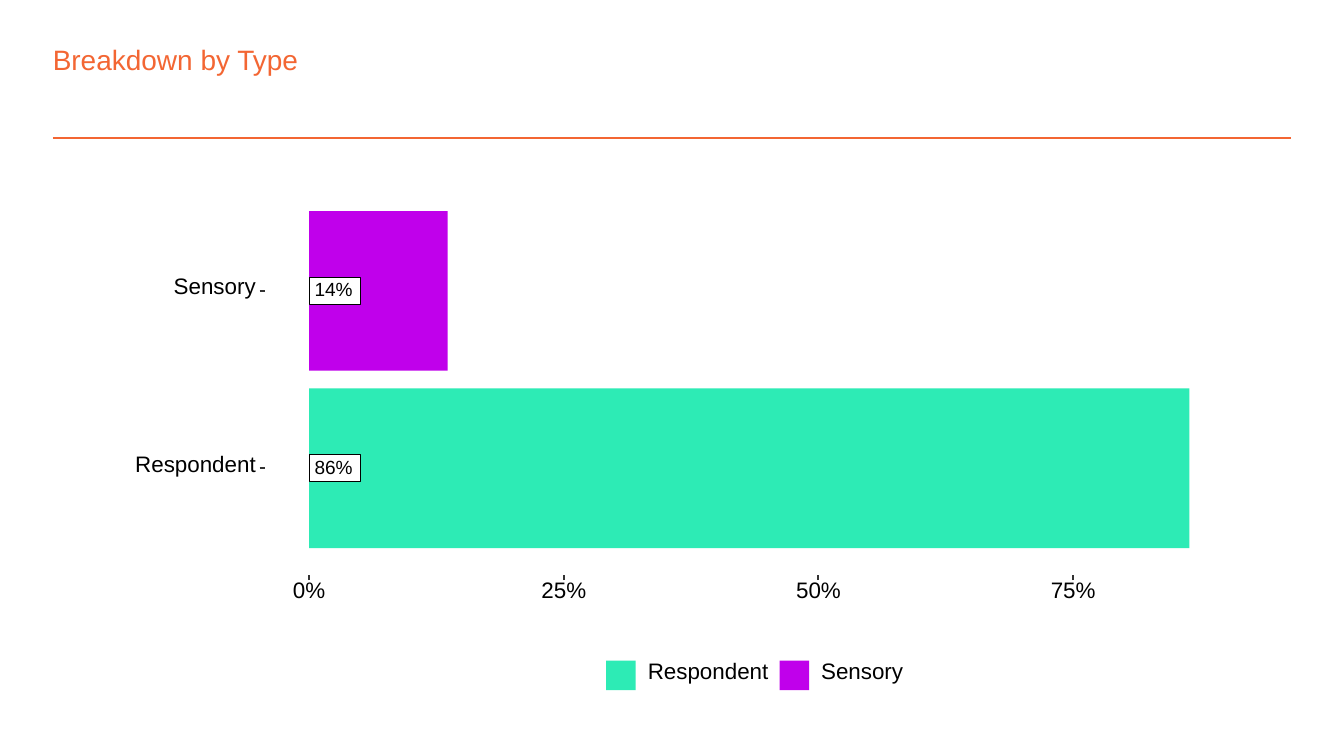
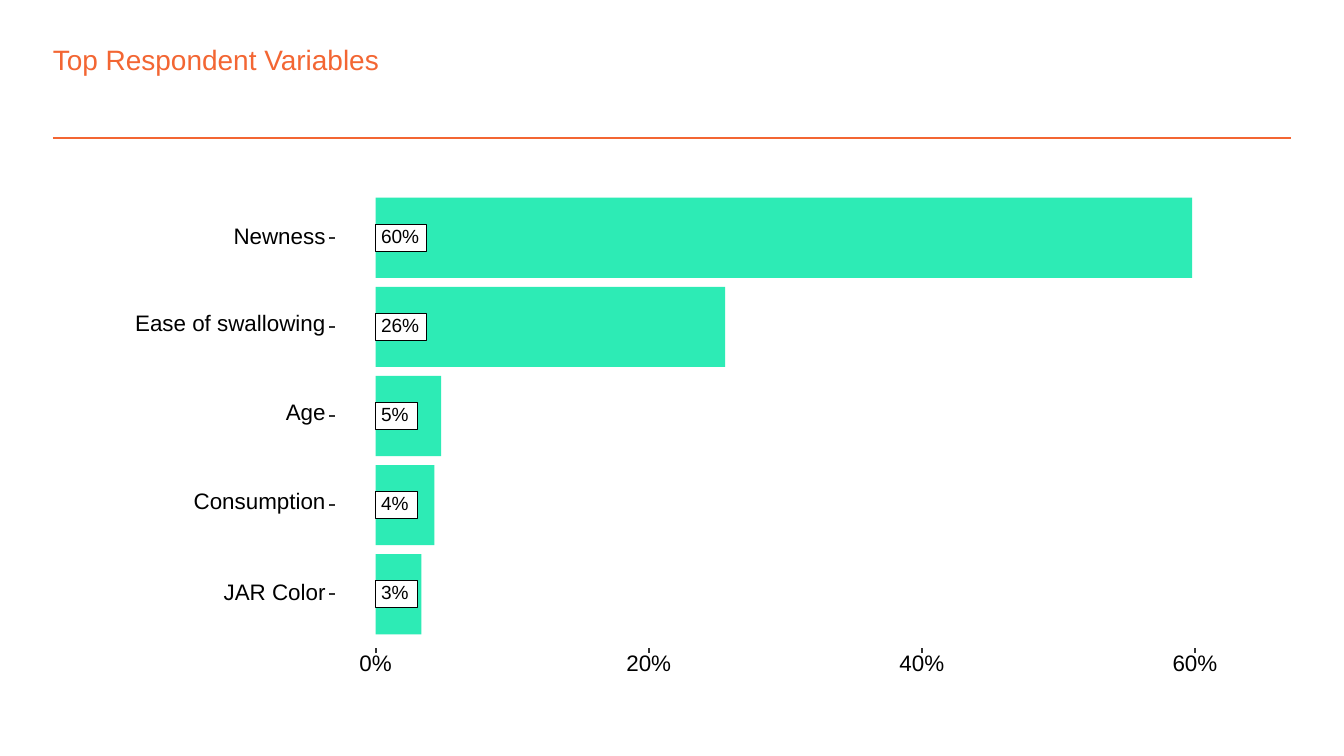
from pptx import Presentation
from pptx import util as u
from pptx.dml.color import RGBColor
from pptx.enum import shapes, text
from pptx.oxml.ns import qn
from lxml import etree

ORANGE = RGBColor(0xF3, 0x66, 0x33)
GREEN = RGBColor(0x2D, 0xEB, 0xB5)
PURPLE = RGBColor(0xC0, 0x00, 0xEB)
WHITE = RGBColor(0xFF, 0xFF, 0xFF)
BLACK = RGBColor(0x00, 0x00, 0x00)
GREY = RGBColor(0x33, 0x33, 0x33)

FONT = "Arial"
WIDTH, HEIGHT = u.Inches(10), u.Inches(5.625)
CELL = WIDTH / 100  # square grid: 100 columns, 56.25 rows
MARGIN = 3.93
TICK = 0.4
LABEL_HEIGHT = 1.5
SLACK = 0.2  # keeps a name on one line


def cells(count):
    return u.Emu(round(count * CELL))


def write(box, words, size=12, color=BLACK, align=text.PP_ALIGN.LEFT,
          anchor=text.MSO_ANCHOR.MIDDLE, inset=0, spacing=None):
    """Put one line of formatted text into a box."""
    frame = box.text_frame
    frame.word_wrap = False
    frame.vertical_anchor = anchor
    frame.margin_left = cells(inset)
    frame.margin_right = frame.margin_top = frame.margin_bottom = 0
    para = frame.paragraphs[0]
    para.alignment = align
    if spacing:
        para.line_spacing = u.Pt(spacing)
    span = para.add_run()
    span.text = words
    span.font.name = FONT
    span.font.size = u.Pt(size)
    span.font.color.rgb = color


class Painter:
    """Holds the deck, the current page and the shared style."""

    def __init__(self):
        self.deck = Presentation()
        self.deck.slide_width, self.deck.slide_height = WIDTH, HEIGHT
        self.page = None

    def new_page(self, title):
        self.page = self.deck.slides.add_slide(self.deck.slide_layouts[6])
        self.line(MARGIN, 10.3, 100 - MARGIN, 10.3, ORANGE, 1)
        self.text(title, MARGIN, 3.13, 82.9, 2.5, size=15, color=ORANGE,
                  anchor=text.MSO_ANCHOR.TOP)
        self.rect(7.5, 13, 85, 40, WHITE, WHITE, 1.07)

    def text(self, words, left, top, width, height, **style):
        box = self.page.shapes.add_textbox(*map(cells, (left, top, width, height)))
        write(box, words, **style)

    def rect(self, left, top, width, height, fill, outline=None, weight=0.53):
        box = self.page.shapes.add_shape(
            shapes.MSO_SHAPE.RECTANGLE, *map(cells, (left, top, width, height)))
        box.shadow.inherit = False
        box.fill.solid()
        box.fill.fore_color.rgb = fill
        if outline is None:
            box.line.fill.background()
        else:
            box.line.color.rgb = outline
            box.line.width = u.Pt(weight)
        return box

    def line(self, x1, y1, x2, y2, color=GREY, width=1.07):
        line = self.page.shapes.add_connector(
            shapes.MSO_CONNECTOR.STRAIGHT, *map(cells, (x1, y1, x2, y2)))
        line.line.color.rgb = color
        line.line.width = u.Pt(width)
        etree.SubElement(line._element.spPr, qn("a:effectLst"))

    def name(self, words, left, middle, width, **style):
        # Names with descenders sit slightly higher
        lift = 0.2 if set(words) & set("gjpqy") else 0
        self.text(words, left, middle - lift - LABEL_HEIGHT / 2, width,
                  LABEL_HEIGHT, spacing=12, **style)

    def value_box(self, percent, left, middle):
        words = f"{percent:.0f}%"
        box = self.rect(left, middle - 1.02, 0.7 * len(words) + 1.7, 2.04, WHITE, BLACK)
        write(box, words, size=10.2, inset=0.4, spacing=10.2)

    def bar_plot(self, bars, left, first, pitch, step):
        """Bars are (name, name width, percent, colour); step is (percent, columns)."""
        step_percent, step_columns = step
        scale = step_columns / step_percent
        longest = scale * max(percent for _, _, percent, _ in bars)
        tick_end = left - longest / 20
        tick_start = tick_end - TICK
        for index, (name, width, percent, color) in enumerate(bars):
            middle = first + index * pitch
            self.rect(left, middle - 0.45 * pitch, percent * scale, 0.9 * pitch, color)
            self.value_box(percent, left, middle)
            width += SLACK
            self.name(name, tick_start - 0.28 - width, middle, width,
                      align=text.PP_ALIGN.RIGHT)
            self.line(tick_start, middle, tick_end, middle)

        # Percent axis with four ticks
        axis = first + (len(bars) - 0.4) * pitch
        for index in range(4):
            x = left + index * step_columns
            words = f"{index * step_percent}%"
            width = 0.9 * len(words) + 0.6 + SLACK
            self.line(x, axis + TICK, x, axis)
            self.name(words, x - width / 2, axis + 1.25, width,
                      align=text.PP_ALIGN.CENTER)

    def legend(self, bars, left, middle):
        key = 2.2
        self.rect(left - 1.6, middle - 2, 24.5, 3.9, WHITE, WHITE, 1.07)
        for name, width, _, color in bars:
            self.rect(left, middle - key / 2, key, key, color)
            self.name(name, left + key + 0.9, middle, width + SLACK)
            left += key + width + 1.7


def main():
    painter = Painter()

    # Breakdown by type
    types = [("Sensory", 6.1, 13.6, PURPLE), ("Respondent", 9, 86.4, GREEN)]
    painter.new_page("Breakdown by Type")
    painter.bar_plot(types, left=23, first=21.65, pitch=13.2, step=(25, 18.95))
    painter.legend(reversed(types), left=45.1, middle=50.25)

    # Top respondent variables
    variables = [("Newness", 6.9, 59.8, GREEN),
                 ("Ease of swallowing", 14.2, 25.6, GREEN),
                 ("Age", 3, 4.8, GREEN),
                 ("Consumption", 9.8, 4.3, GREEN),
                 ("JAR Color", 7.6, 3.35, GREEN)]
    painter.new_page("Top Respondent Variables")
    painter.bar_plot(variables, left=27.95, first=17.7, pitch=6.63, step=(20, 20.32))

    painter.deck.save("out.pptx")


if __name__ == "__main__":
    main()
